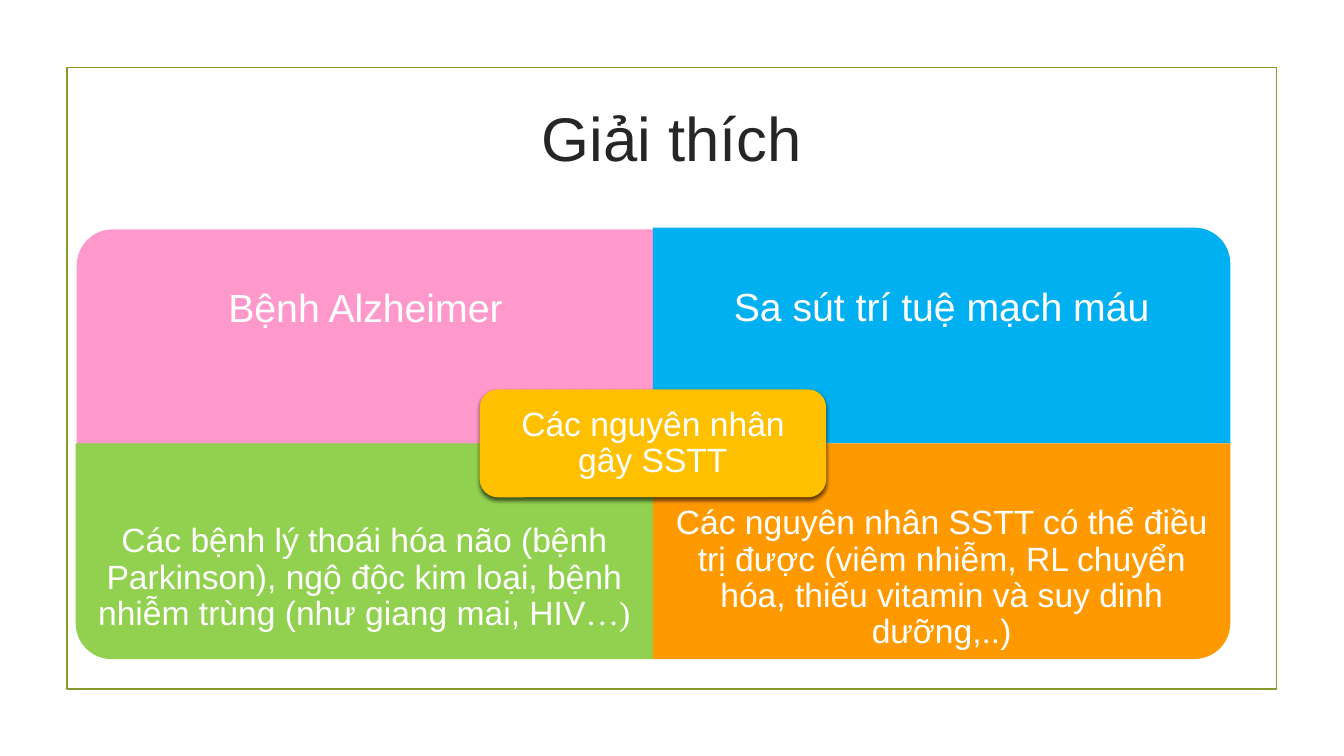
import dataclasses

import lxml.etree
import pptx
import pptx.dml.color
import pptx.enum.shapes
import pptx.enum.text
import pptx.oxml
import pptx.oxml.ns
import pptx.util

Pt = pptx.util.Pt
SHAPES = pptx.enum.shapes.MSO_SHAPE


@dataclasses.dataclass(frozen=True)
class Theme:
    """Colours, fonts and type sizes of the slide."""
    frame: str = "83992A"
    title: str = "262626"
    light: str = "FFFFFF"
    pink: str = "FF99CC"
    blue: str = "00B0F0"
    green: str = "92D050"
    orange: str = "FF9900"
    gold: str = "FFC000"
    font: str = "Arial"
    serif: str = "Times New Roman"
    title_size: int = 44
    heading_size: int = 28
    body_size: int = 24


THEME = Theme()


def rgb(value):
    """Turn a hex string into a colour."""
    return pptx.dml.color.RGBColor.from_string(value)


def write(shape, runs, size, color, inset, line_spacing=0.9):
    """Write one centred paragraph of (text, font) runs into a shape."""
    frame = shape.text_frame
    frame.word_wrap = True
    frame.auto_size = pptx.enum.text.MSO_AUTO_SIZE.NONE
    frame.vertical_anchor = pptx.enum.text.MSO_ANCHOR.MIDDLE
    frame.margin_left = frame.margin_right = Pt(inset)
    frame.margin_top = frame.margin_bottom = Pt(inset)
    paragraph = frame.paragraphs[0]
    paragraph.alignment = pptx.enum.text.PP_ALIGN.CENTER
    paragraph.line_spacing = line_spacing
    for text, font in runs:
        run = paragraph.add_run()
        run.text = text
        run.font.name = font
        run.font.size = Pt(size)
        run.font.color.rgb = rgb(color)


def add_block(slide, kind, box, fill):
    """Add a filled preset shape without outline or shadow."""
    shape = slide.shapes.add_shape(kind, *map(Pt, box))
    shape.shadow.inherit = False
    shape.fill.solid()
    shape.fill.fore_color.rgb = rgb(fill)
    shape.line.fill.background()
    return shape


def add_frame(slide, box):
    """Draw the thin frame around the content."""
    frame = slide.shapes.add_shape(SHAPES.RECTANGLE, *map(Pt, box))
    frame.shadow.inherit = False
    frame.fill.background()
    frame.line.color.rgb = rgb(THEME.frame)
    frame.line.width = Pt(1.25)


def add_title(slide, box, text):
    """Place and format the title placeholder."""
    title = slide.shapes.title
    title.left, title.top, title.width, title.height = map(Pt, box)
    write(title, [(text, THEME.font)], THEME.title_size, THEME.title, 5, 1)


def add_quadrant(slide, box, rotation, fill, runs, size, inset):
    """Add a quadrant with its outer corner rounded and text on its outer side."""
    left, top, width, height = box
    block_box = box
    if rotation in (90, 270):
        shift = (width - height) / 2
        block_box = (left + shift, top - shift, height, width)
    block = add_block(slide, SHAPES.ROUND_1_RECTANGLE, block_box, fill)
    block.rotation = rotation
    text_height = height * 0.75
    text_top = top + height - text_height if rotation in (90, 180) else top
    label = slide.shapes.add_textbox(*map(Pt, (left, text_top, width, text_height)))
    write(label, runs, size, THEME.light, inset)


def add_hub(slide, box, text):
    """Add the central label with its soft shadow."""
    hub = add_block(slide, SHAPES.ROUNDED_RECTANGLE, box, THEME.gold)
    effects = hub._element.spPr.find(pptx.oxml.ns.qn("a:effectLst"))
    shadow = lxml.etree.SubElement(
        effects, pptx.oxml.ns.qn("a:outerShdw"), blurRad=str(Pt(3)),
        dist=str(Pt(2)), dir="5400000", algn="ctr", rotWithShape="0")
    color = lxml.etree.SubElement(shadow, pptx.oxml.ns.qn("a:srgbClr"), val="000000")
    lxml.etree.SubElement(color, pptx.oxml.ns.qn("a:alpha"), val="60000")
    write(hub, [(text, THEME.font)], THEME.body_size, THEME.light, 7.2)


def add_matrix(slide, box):
    """Add four quadrants around a central label."""
    left, top, width, height = box
    cell_width, cell_height = width / 2, height / 2
    middle, centre = left + cell_width, top + cell_height
    heading, body = (THEME.heading_size, 15.8), (THEME.body_size, 13.7)
    quadrants = [
        (left + 0.8, top + 1.2, 270, THEME.pink,
         [("Bệnh Alzheimer", THEME.font)], heading),
        (middle, top, 0, THEME.blue,
         [("Sa sút trí tuệ mạch máu", THEME.font)], heading),
        (left, centre, 180, THEME.green,
         [("Các bệnh lý thoái hóa não (bệnh Parkinson), ngộ độc kim loại, "
           "bệnh nhiễm trùng (như giang mai, HIV", THEME.font),
          ("…)", THEME.serif)], body),
        (middle, centre, 90, THEME.orange,
         [("Các nguyên nhân SSTT có thể điều trị được (viêm nhiễm, RL chuyển "
           "hóa, thiếu vitamin và suy dinh dưỡng,..)", THEME.font)], body),
    ]
    for x, y, rotation, fill, runs, (size, inset) in quadrants:
        add_quadrant(slide, (x, y, cell_width, cell_height),
                     rotation, fill, runs, size, inset)
    hub_width, hub_height = cell_width * 0.6, cell_height * 0.5
    add_hub(slide, (middle - hub_width / 2, centre - hub_height / 2,
                    hub_width, hub_height), "Các nguyên nhân gây SSTT")


def main():
    """Build the slide and save it."""
    presentation = pptx.Presentation()
    presentation.slide_width, presentation.slide_height = Pt(960), Pt(540)
    slide = presentation.slides.add_slide(presentation.slide_layouts[5])
    add_frame(slide, (47.8, 48.2, 864, 444))
    add_title(slide, (102, 46, 756, 103), "Giải thích")
    add_matrix(slide, (54, 162.6, 824.8, 308.2))
    presentation.save("out.pptx")


if __name__ == "__main__":
    main()
